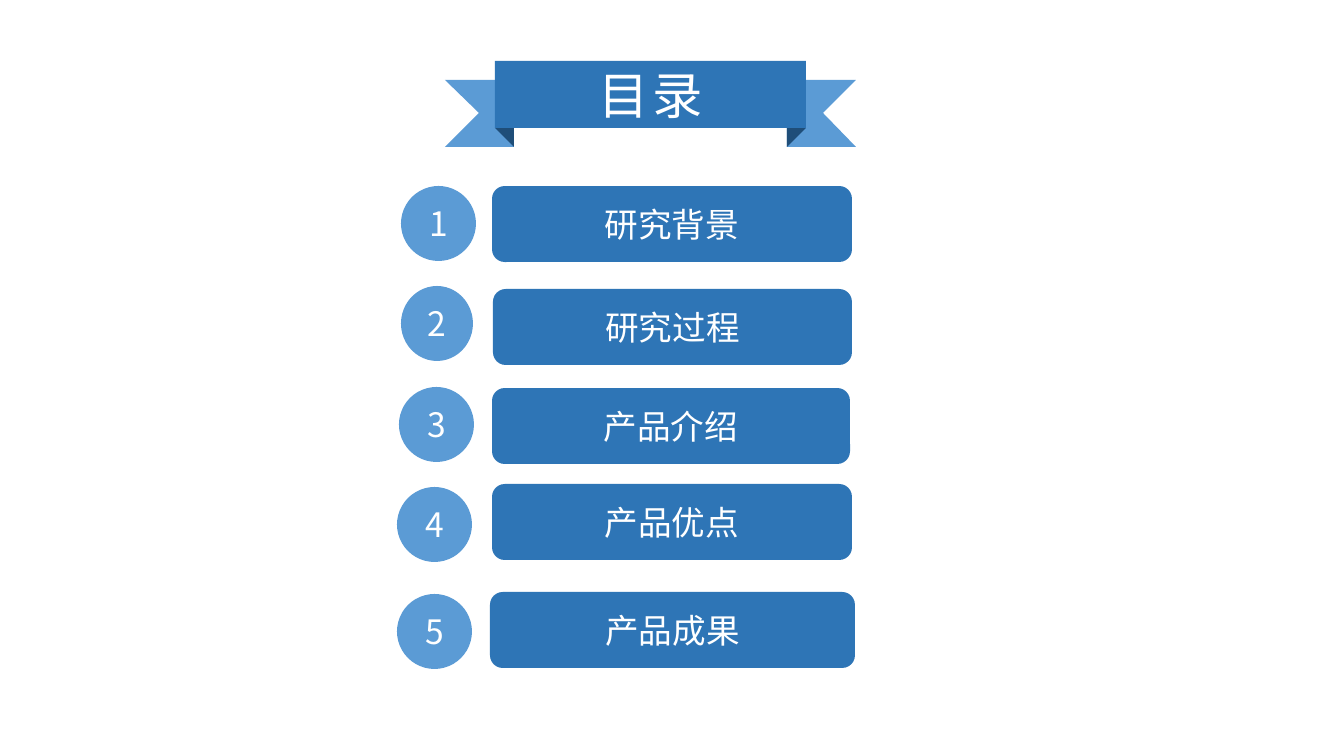
from pptx import Presentation
from pptx.dml.color import RGBColor
from pptx.enum.shapes import MSO_SHAPE
from pptx.enum.text import MSO_ANCHOR, PP_ALIGN
from pptx.oxml.ns import qn
from pptx.util import Pt

# Content: label, circle (left, top, width), bar (left, top, width)
TITLE = "目录"
ITEMS = [
    ("研究背景", (401, 186, 75), (492, 186, 360)),
    ("研究过程", (401, 286, 72), (493, 289, 359)),
    ("产品介绍", (399, 387, 75), (492, 388, 358)),
    ("产品优点", (397, 487, 75), (492, 484, 360)),
    ("产品成果", (397, 594, 75), (490, 592, 365)),
]
CIRCLE_H, BAR_H = 75, 76

# Ribbon: banner box, tail outlines, folds (left, top, turn)
BANNER = (495, 61, 311, 67)
TAILS = [
    [(445, 80), (514, 80), (514, 147), (445, 147), (479, 113)],
    [(856, 80), (787, 80), (787, 147), (856, 147), (823, 113)],
]
FOLDS = [(495, 128, 180), (787, 128, 90)]
FOLD = 19

FONT = "Noto Sans CJK SC"
LIGHT = RGBColor(0x5B, 0x9B, 0xD5)
MID = RGBColor(0x2E, 0x75, 0xB6)
DARK = RGBColor(0x1F, 0x4E, 0x79)
WHITE = RGBColor(0xFF, 0xFF, 0xFF)
SCALE = 914400 / 100.8


def px(n):
    return round(n * SCALE)


def paint(shape, color):
    shape.shadow.inherit = False
    shape.fill.solid()
    shape.fill.fore_color.rgb = color
    shape.line.fill.background()
    return shape


def block(shapes, kind, box, color):
    return paint(shapes.add_shape(kind, *map(px, box)), color)


def write(shape, text, size, gap=0):
    frame = shape.text_frame
    frame.text = text
    frame.vertical_anchor = MSO_ANCHOR.MIDDLE
    para = frame.paragraphs[0]
    para.alignment = PP_ALIGN.CENTER
    font = para.runs[0].font
    font.size = Pt(size)
    font.name = FONT
    font.color.rgb = WHITE
    # East Asian typeface and letter spacing
    props = para.runs[0]._r.get_or_add_rPr()
    props.makeelement(qn("a:ea"), {})
    east = props.makeelement(qn("a:ea"), {"typeface": FONT})
    props.find(qn("a:latin")).addnext(east)
    if gap:
        props.set("spc", str(gap * 100))


deck = Presentation()
deck.slide_width, deck.slide_height = px(1344), px(756)
slide = deck.slides.add_slide(deck.slide_layouts[6])

# Title ribbon
ribbon = slide.shapes.add_group_shape().shapes
for tail in TAILS:
    form = ribbon.build_freeform(*tail[0], scale=SCALE)
    form.add_line_segments(tail[1:], close=True)
    paint(form.convert_to_shape(), LIGHT)
for left, top, turn in FOLDS:
    fold = block(ribbon, MSO_SHAPE.RIGHT_TRIANGLE, (left, top, FOLD, FOLD), DARK)
    fold.rotation = turn
write(block(ribbon, MSO_SHAPE.RECTANGLE, BANNER, MID), TITLE, 36, 3)

# Numbered entries
for num, (label, circle, bar) in enumerate(ITEMS, 1):
    disc = block(slide.shapes, MSO_SHAPE.OVAL, (*circle, CIRCLE_H), LIGHT)
    write(disc, str(num), 24)
    plate = block(slide.shapes, MSO_SHAPE.ROUNDED_RECTANGLE, (*bar, BAR_H), MID)
    write(plate, label, 24)

deck.save("out.pptx")
